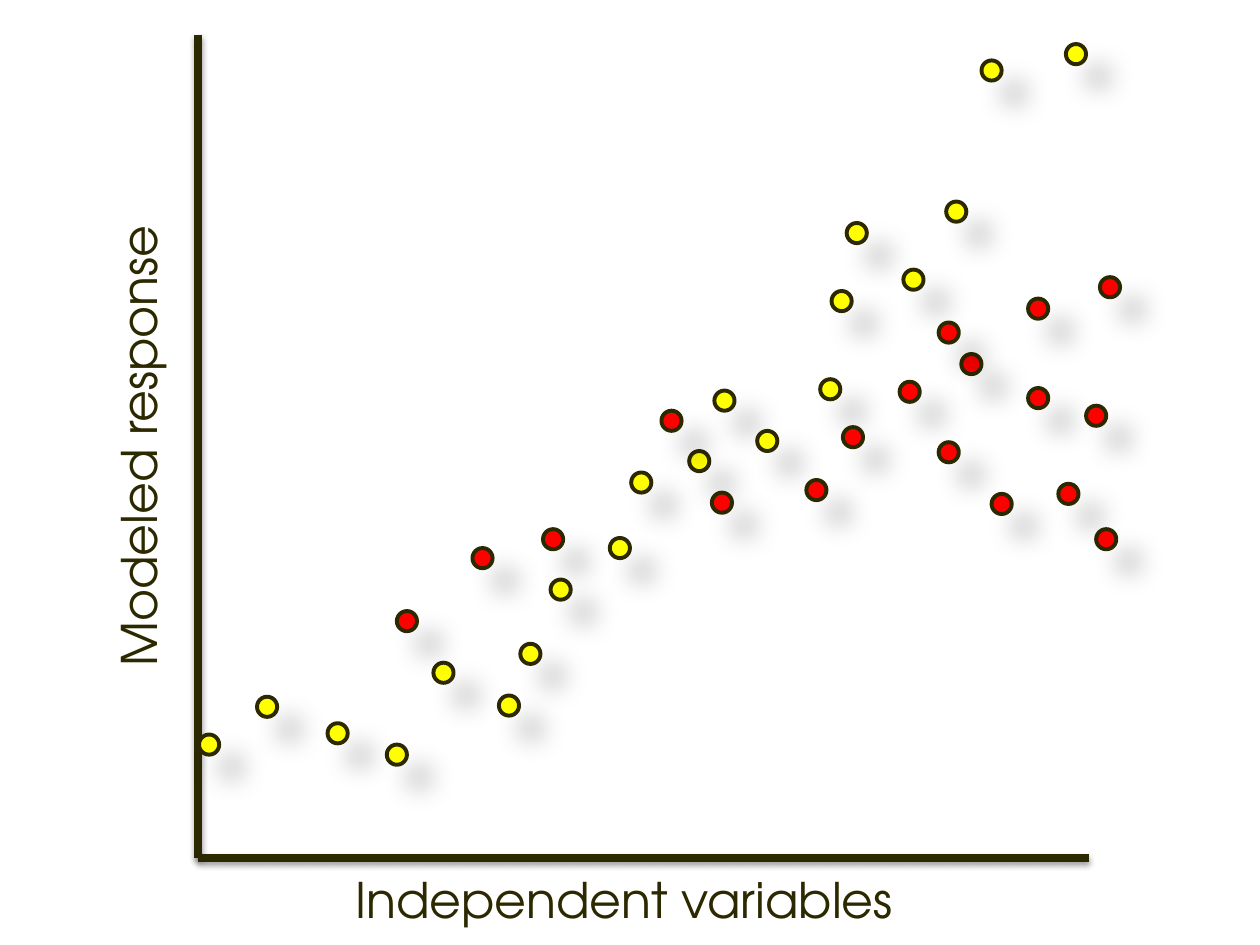
from lxml.etree import SubElement
from pptx import Presentation
from pptx.dml.color import RGBColor
from pptx.enum.shapes import MSO_CONNECTOR, MSO_SHAPE
from pptx.enum.text import MSO_AUTO_SIZE, PP_ALIGN
from pptx.oxml.ns import qn
from pptx.util import Inches, Pt

COLORS = {"ink": "2C2900", "yellow": "FFFF00", "red": "FF0000", "shadow": "000000"}
FONT = "TeX Gyre Adventor"
DOT_SIZE = 0.16


def add_shadow(shape, opacity, blur, distance, angle):
    effects = SubElement(shape._element.spPr, qn("a:effectLst"))
    shadow = SubElement(
        effects, qn("a:outerShdw"), blurRad=str(Pt(blur)), dist=str(Pt(distance)),
        dir=str(angle * 60000), algn="ctr", rotWithShape="0",
    )
    color = SubElement(shadow, qn("a:srgbClr"), val=COLORS["shadow"])
    SubElement(color, qn("a:alpha"), val=str(opacity * 1000))


def set_outline(shape, width):
    shape.line.color.rgb = RGBColor.from_string(COLORS["ink"])
    shape.line.width = Pt(width)


prs = Presentation()
prs.slide_width, prs.slide_height = Inches(10), Inches(7.5)
slide = prs.slides.add_slide(prs.slide_layouts[6])

origin = (1.57, 6.81)
response_axis = ((1.57, 0.28), origin)
variables_axis = (origin, (8.64, 6.81))
for start, end in (response_axis, variables_axis):
    axis = slide.shapes.add_connector(
        MSO_CONNECTOR.STRAIGHT, *(Inches(value) for value in start + end)
    )
    set_outline(axis, 4.5)
    add_shadow(axis, 38, 3.1, 1.6, 90)

axis_labels = [
    ("Independent variables", (2.72, 6.85, 4.55, 0.56), 0),
    ("Modeled response", (-0.78, 3.24, 3.74, 0.56), 270),
]
for wording, bounds, rotation in axis_labels:
    label = slide.shapes.add_textbox(*(Inches(value) for value in bounds))
    label.rotation = rotation
    frame = label.text_frame
    frame.word_wrap = False
    frame.auto_size = MSO_AUTO_SIZE.SHAPE_TO_FIT_TEXT
    frame.text = wording
    paragraph = frame.paragraphs[0]
    paragraph.alignment = PP_ALIGN.LEFT
    font = paragraph.runs[0].font
    font.name = FONT
    font.size = Pt(28)
    font.color.rgb = RGBColor.from_string(COLORS["ink"])

observations = {
    "yellow": [
        (2.04, 5.53), (3.07, 5.91), (3.44, 5.26), (3.96, 5.52), (4.37, 4.6),
        (5.01, 3.75), (5.47, 3.58), (5.67, 3.1), (8.46, 0.35), (6.01, 3.42),
        (6.72, 1.77), (7.51, 1.6), (6.51, 3.01), (1.58, 5.83), (7.79, 0.48),
        (7.17, 2.14), (2.6, 5.74), (4.13, 5.11), (6.6, 2.31), (4.84, 4.27),
    ],
    "red": [
        (7.63, 2.81), (8.16, 2.37), (8.73, 2.2), (7.14, 3.03), (8.16, 3.08),
        (6.69, 3.39), (8.62, 3.22), (5.65, 3.91), (6.4, 3.81), (3.15, 4.85),
        (8.7, 4.2), (7.45, 2.56), (3.75, 4.35), (4.31, 4.2), (5.25, 3.26),
        (7.87, 3.92), (8.4, 3.84), (7.45, 3.51),
    ],
}
for color_name, positions in observations.items():
    for left, top in positions:
        dot = slide.shapes.add_shape(
            MSO_SHAPE.OVAL, Inches(left), Inches(top), Inches(DOT_SIZE), Inches(DOT_SIZE)
        )
        dot.fill.solid()
        dot.fill.fore_color.rgb = RGBColor.from_string(COLORS[color_name])
        set_outline(dot, 2.25)
        add_shadow(dot, 25, 15, 18, 45)

prs.save("out.pptx")
